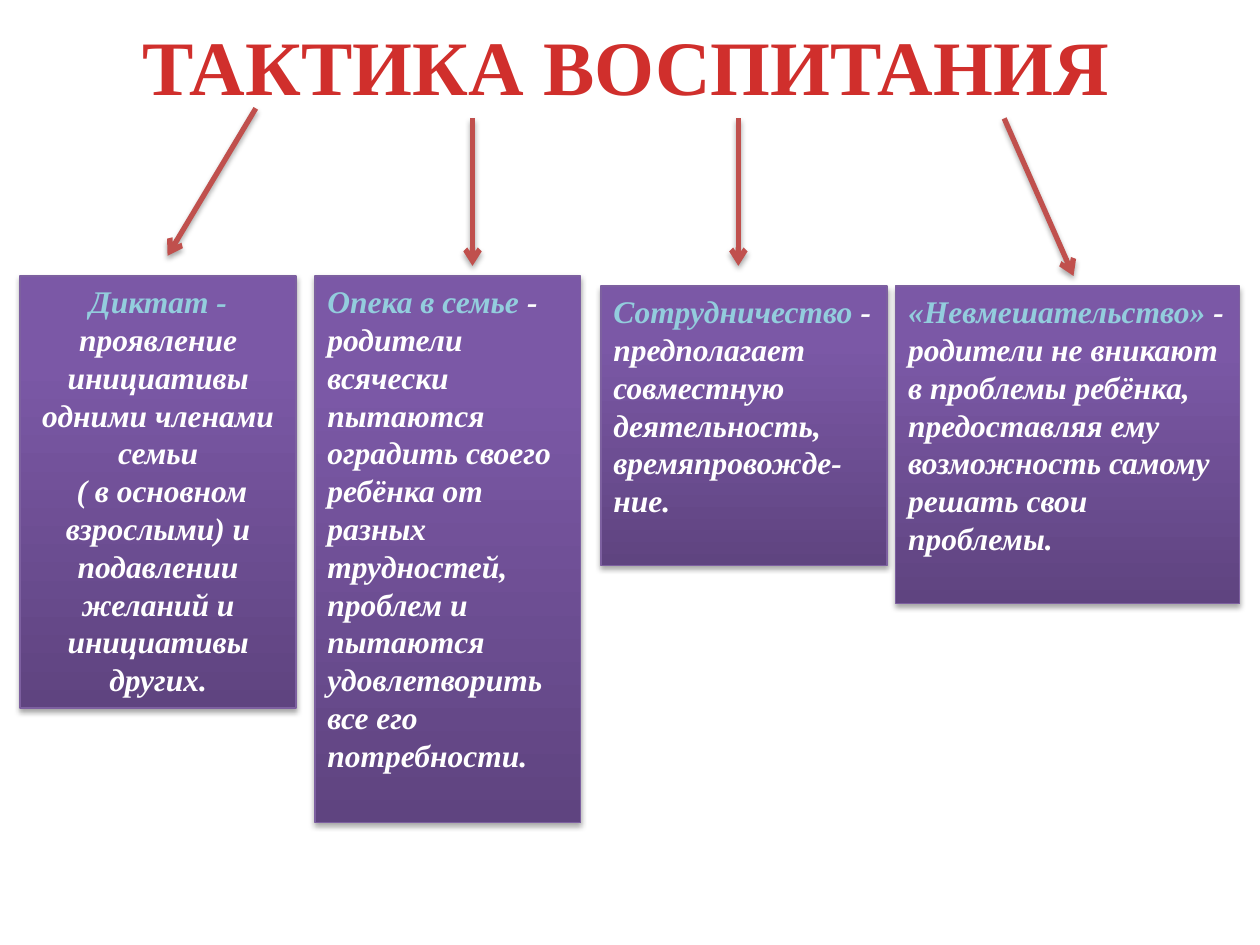
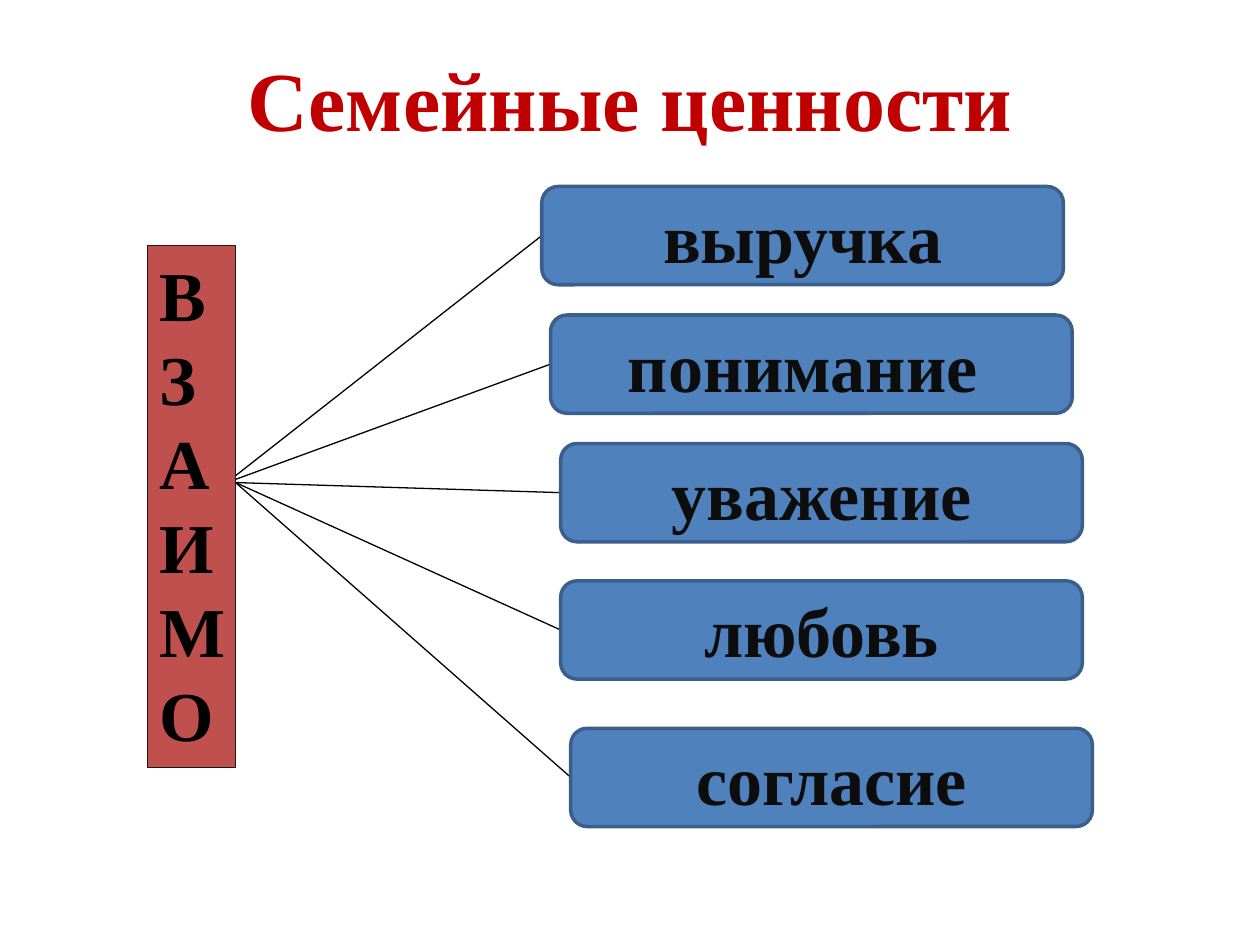
from lxml import etree
from pptx import Presentation
from pptx.dml.color import RGBColor
from pptx.enum.shapes import MSO_CONNECTOR, MSO_SHAPE
from pptx.enum.text import MSO_ANCHOR, PP_ALIGN
from pptx.oxml import parse_xml
from pptx.oxml.ns import nsdecls, qn
from pptx.util import Inches, Pt

RECT, ROUND = MSO_SHAPE.RECTANGLE, MSO_SHAPE.ROUNDED_RECTANGLE
STRAIGHT = MSO_CONNECTOR.STRAIGHT
LEFT, CENTER = PP_ALIGN.LEFT, PP_ALIGN.CENTER
TOP, MIDDLE = MSO_ANCHOR.TOP, MSO_ANCHOR.MIDDLE

FONT = "Times New Roman"
WHITE = RGBColor(0xFF, 0xFF, 0xFF)
BLACK = RGBColor(0x00, 0x00, 0x00)
INK = RGBColor(0x0D, 0x0D, 0x0D)
SCARLET = RGBColor(0xD0, 0x2F, 0x2C)
CRIMSON = RGBColor(0xC0, 0x00, 0x00)
BRICK = RGBColor(0xC0, 0x50, 0x4D)
UMBER = RGBColor(0x1E, 0x1C, 0x11)
AQUA = RGBColor(0x93, 0xCD, 0xDD)
PLUM = RGBColor(0x5F, 0x44, 0x80)
LILAC = RGBColor(0x7B, 0x58, 0xA6)
VIOLET = RGBColor(0x7D, 0x60, 0xA0)
BLUE = RGBColor(0x4F, 0x81, 0xBD)
NAVY = RGBColor(0x3A, 0x5F, 0x8C)

SHADOW = (
    f'<a:effectLst {nsdecls("a")}><a:outerShdw blurRad="40000" dist="23000" '
    'dir="5400000" rotWithShape="0"><a:srgbClr val="000000">'
    '<a:alpha val="35000"/></a:srgbClr></a:outerShdw></a:effectLst>'
)

# Left, top, width, height, alignment, paragraphs of (text, colour) runs
CARDS = [
    (0.16, 2.19, 2.19, 3.43, CENTER, [
        [("Диктат - ", AQUA),
         ("проявление инициативы одними членами семьи", WHITE)],
        [(" ( в основном взрослыми) и подавлении желаний и "
          "инициативы других.", WHITE)]]),
    (2.5, 2.19, 2.11, 4.34, LEFT, [
        [("Опека в семье ", AQUA),
         ("- родители всячески пытаются оградить своего ребёнка от разных "
          "трудностей, проблем и пытаются удовлетворить все его "
          "потребности.", WHITE)]]),
    (4.77, 2.27, 2.27, 2.22, LEFT, [
        [("Сотрудничество", AQUA),
         (" - предполагает совместную деятельность, "
          "времяпровожде-ние.", WHITE)]]),
    (7.11, 2.27, 2.73, 2.52, LEFT, [
        [("«Невмешательство» ", AQUA),
         ("- родители не вникают в проблемы ребёнка, предоставляя ему "
          "возможность самому решать свои проблемы.", WHITE)]]),
]
ARROWS = [
    ((2.03, 0.86), (1.33, 2.03)),
    ((3.75, 0.94), (3.75, 2.11)),
    ((5.86, 0.94), (5.86, 2.11)),
    ((7.97, 0.94), (8.52, 2.19)),
]

# Text, left and top of each bar, and where its line leaves the column
BAR_W, BAR_H = 4.14, 0.78
BARS = [
    ("выручка", 4.3, 1.48, 1.8),
    ("понимание ", 4.37, 2.5, 1.8),
    ("уважение", 4.45, 3.52, 1.87),
    ("любовь", 4.45, 4.61, 1.87),
    ("согласие", 4.53, 5.78, 1.87),
]
HUB_Y = 3.83


def write(frame, paras, size=18, align=LEFT, anchor=TOP, italic=False):
    """Fill a text frame with paragraphs of (text, colour) runs."""
    frame.word_wrap = True
    frame.vertical_anchor = anchor
    for i, runs in enumerate(paras):
        para = frame.paragraphs[0] if i == 0 else frame.add_paragraph()
        para.alignment = align
        for text, color in runs:
            run = para.add_run()
            run.text = text
            font = run.font
            font.name, font.size = FONT, Pt(size)
            font.bold, font.italic = True, italic
            font.color.rgb = color


def place(slide, text, box, size, color):
    """Move and fill the title placeholder."""
    title = slide.shapes.title
    title.left, title.top, title.width, title.height = map(Inches, box)
    write(title.text_frame, [[(text, color)]], size=size, align=CENTER,
          anchor=MIDDLE)


def block(slide, kind, box, fill, edge, width):
    """Add a shape; a pair of colours as fill gives a rising gradient."""
    shape = slide.shapes.add_shape(kind, *map(Inches, box))
    shape.line.color.rgb = edge
    shape.line.width = Pt(width)
    if isinstance(fill, list):
        shape.fill.gradient()
        shape.fill.gradient_angle = 90
        for stop, color, spot in zip(shape.fill.gradient_stops, fill, (0, 0.8)):
            stop.color.rgb = color
            stop.position = spot
        shape._element.spPr.append(parse_xml(SHADOW))
    else:
        shape.fill.solid()
        shape.fill.fore_color.rgb = fill
        shape.shadow.inherit = False
    return shape


def link(slide, start, end, color, width, arrow=False):
    """Add a line, with a shadow and an open head if it is an arrow."""
    line = slide.shapes.add_connector(STRAIGHT, *map(Inches, start + end))
    line.line.color.rgb = color
    line.line.width = Pt(width)
    props = line._element.spPr
    if arrow:
        etree.SubElement(props.find(qn("a:ln")), qn("a:tailEnd"), type="arrow")
        props.append(parse_xml(SHADOW))
    else:
        etree.SubElement(props, qn("a:effectLst"))


def tactics(slide):
    """Draw four cards under a title, each with an arrow."""
    place(slide, "ТАКТИКА ВОСПИТАНИЯ", (0.47, 0, 9, 1.02), 44, SCARLET)
    for *box, align, paras in CARDS:
        card = block(slide, RECT, box, [PLUM, LILAC], VIOLET, 0.75)
        write(card.text_frame, paras, align=align, italic=True)
    for start, end in ARROWS:
        link(slide, start, end, BRICK, 3, arrow=True)


def values(slide):
    """Draw a column of letters joined to five bars."""
    place(slide, "Семейные ценности", (0.5, 0.23, 9, 1.09), 48, CRIMSON)
    for _, left, top, start in BARS:
        link(slide, (start, HUB_Y), (left, top + BAR_H / 2), BLACK, 0.75)
    column = block(slide, RECT, (1.17, 1.95, 0.7, 4.14), BRICK, UMBER, 0.75)
    write(column.text_frame, [[("В", BLACK)], [("ЗАИМО", BLACK)]], size=40)
    for text, left, top, _ in BARS:
        bar = block(slide, ROUND, (left, top, BAR_W, BAR_H), BLUE, NAVY, 2)
        write(bar.text_frame, [[(text, INK)]], size=40, align=CENTER,
              anchor=MIDDLE)


def main():
    """Build both slides and save them."""
    deck = Presentation()
    deck.slide_width, deck.slide_height = Inches(10), Inches(7.5)
    layout = deck.slide_layouts[5]
    for draw in (tactics, values):
        draw(deck.slides.add_slide(layout))
    deck.save("out.pptx")


main()
